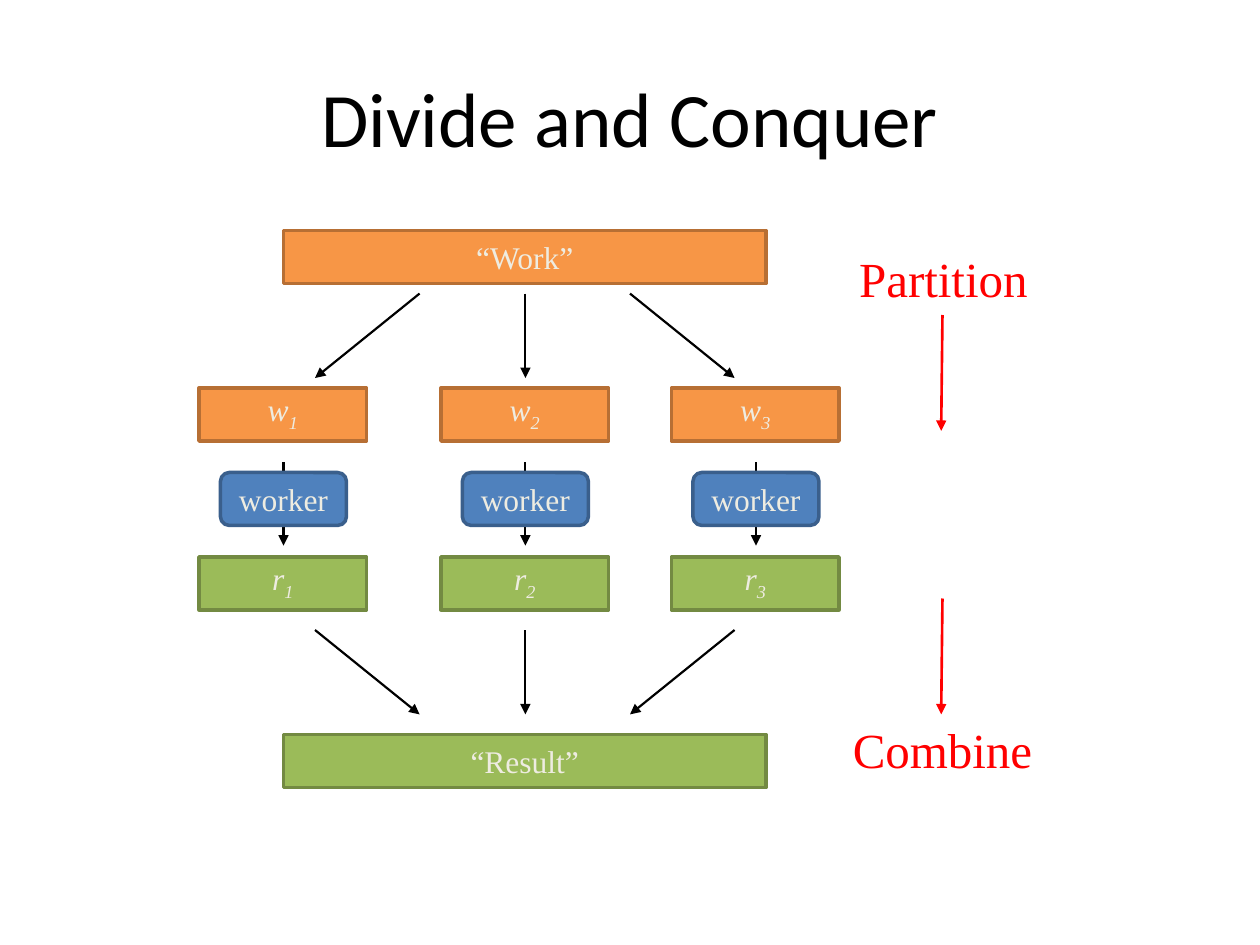
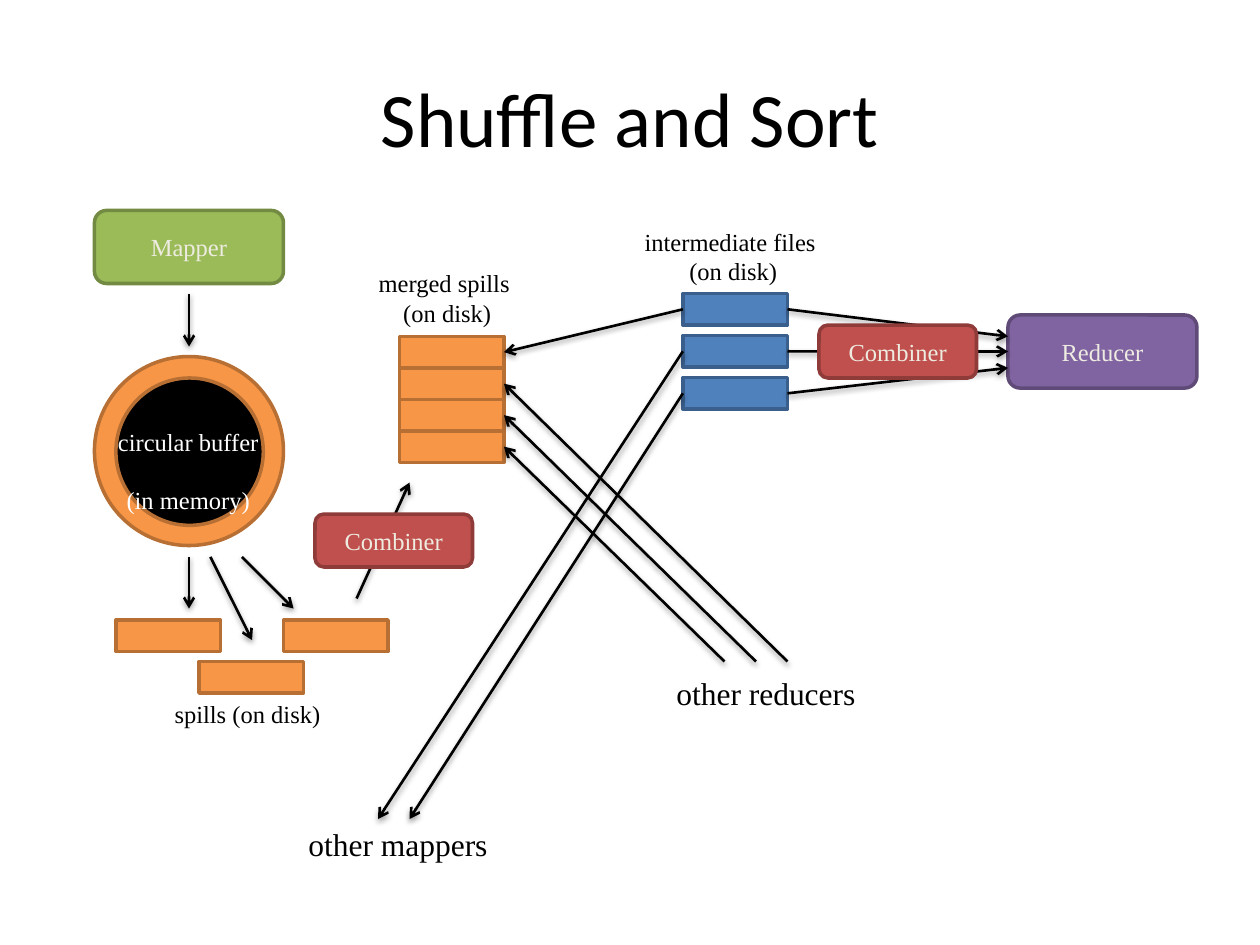
from lxml import etree
from pptx import Presentation
from pptx.dml.color import RGBColor
from pptx.enum.shapes import MSO_CONNECTOR, MSO_SHAPE
from pptx.enum.text import MSO_ANCHOR, MSO_AUTO_SIZE, PP_ALIGN
from pptx.oxml import parse_xml
from pptx.oxml.ns import nsdecls, qn
from pptx.util import Inches, Pt

COLORS = {"black": "000000", "white": "FFFFFF", "red": "FF0000", "cream": "EEECE1"}
# Each box style is a fill and a matching darker outline.
BOX_STYLES = {
    "orange": ("F79646", "B76F34"),
    "green": ("9BBB59", "738A42"),
    "blue": ("4F81BD", "3A5F8C"),
    "purple": ("8064A2", "5F4A78"),
    "crimson": ("C0504D", "8E3B39"),
    "core": ("000000", "B76F34"),
}
BODY_FONT, TITLE_FONT = "Times New Roman", "Calibri"
RECT, ROUND, OVAL = MSO_SHAPE.RECTANGLE, MSO_SHAPE.ROUNDED_RECTANGLE, MSO_SHAPE.OVAL
BOX_H = 0.42

# Divide and Conquer: the workers, the bars and the steps beside them
WORKERS = [("1", 2.25), ("2", 4.17), ("3", 6)]  # subscript, column centre
BARS = [("“Work”", 1.83, "orange"), ("“Result”", 5.83, "green")]
PARTS = [("w", 3.08, "orange"), ("r", 4.42, "green")]
FAN = [(3.33, 2.5), (4.17, 4.17), (5, 5.83)]  # x near the bar, x near the part
STEPS = [("Partition", (6.72, 1.92, 1.58, 0.57), 2.5),
         ("Combine", (6.67, 5.66, 1.67, 0.57), 4.75)]

# Shuffle and Sort: stages, file stacks, arrows and captions
STAGES = [("Mapper", 0.75, 1.67, "green"), ("Reducer", 8, 2.5, "purple")]
COMBINERS = [(2.5, 4.08), (6.5, 2.58)]
FILE_W, FILE_H = 0.83, 0.25
SPILLS = [(1.58, 5.25), (0.92, 4.92), (2.25, 4.92)]
MERGED = [(3.17, 2.67 + i * FILE_H) for i in range(4)]
INTERMEDIATE = [(5.42, 2.33 + i / 3) for i in range(3)]
FILE_MIDS = [y + FILE_H / 2 for _, y in INTERMEDIATE]
MERGED_MIDS = [y + FILE_H / 2 for _, y in MERGED]
MAP_ARROWS = [
    ((1.5, 2.33), (1.5, 2.75)), ((1.5, 4.42), (1.5, 4.83)),
    ((1.67, 4.42), (2, 5.08)), ((1.92, 4.42), (2.33, 4.83)),
    ((2.83, 4.75), (3.25, 3.83)),
]
FETCH_ARROWS = [((5.42, y), end) for y, end in
                zip(FILE_MIDS, [(4, MERGED_MIDS[0]), (3, 6.5), (3.25, 6.5)])]
OTHER_ARROWS = [((x, 5.25), (4, y)) for x, y in zip((6.25, 6, 5.75), MERGED_MIDS[1:])]
REDUCE_ARROWS = [((6.25, y), (8, end)) for y, end in zip(FILE_MIDS, (2.67, 2.79, 2.92))]
CAPTIONS = [
    (["spills (on disk)"], (1.28, 5.5, 1.37, 0.34)),
    (["merged spills ", "(on disk)"], (2.9, 2.08, 1.3, 0.57)),
    (["intermediate files ", "(on disk)"], (5.01, 1.75, 1.62, 0.57)),
]
NEIGHBOURS = [("other mappers", 2.35, 6.5), ("other reducers", 5.27, 5.3)]


def rgb(value):
    """Turn a hex string into a colour."""
    return RGBColor.from_string(value)


def add_run(paragraph, text, size, color, font=BODY_FONT, italic=None, subscript=False):
    """Add one formatted run."""
    run = paragraph.add_run()
    run.text = text
    run.font.name, run.font.size, run.font.italic = font, Pt(size), italic
    run.font.color.rgb = rgb(COLORS[color])
    if subscript:
        run.font._element.set("baseline", "-25000")


def add_box(shapes, kind, at, style, text="", size=18):
    """Add a filled and outlined shape, with a centred label if given."""
    box = shapes.add_shape(kind, *map(Inches, at))
    fill, line = BOX_STYLES[style]
    box.shadow.inherit = False
    box.fill.solid()
    box.fill.fore_color.rgb = rgb(fill)
    box.line.color.rgb = rgb(line)
    box.line.width = Pt(2)
    frame = box.text_frame
    frame.vertical_anchor = MSO_ANCHOR.MIDDLE
    frame.paragraphs[0].alignment = PP_ALIGN.CENTER
    if text:
        add_run(frame.paragraphs[0], text, size, "cream")
    return box


def add_part(shapes, letter, number, center, top, style):
    """Add a box holding an italic letter with a subscript number."""
    box = add_box(shapes, RECT, (center - 0.67, top, 1.33, BOX_H), style)
    box.text_frame.margin_top = 0
    paragraph = box.text_frame.paragraphs[0]
    add_run(paragraph, letter, 18, "cream", italic=True)
    add_run(paragraph, number, 18, "cream", italic=True, subscript=True)


def add_label(shapes, lines, at, size, color="black", align=PP_ALIGN.LEFT,
              wrap=False, gap=0):
    """Add a text box with one paragraph a line."""
    frame = shapes.add_textbox(*map(Inches, at)).text_frame
    frame.word_wrap = wrap
    frame.auto_size = MSO_AUTO_SIZE.SHAPE_TO_FIT_TEXT
    for i, line in enumerate(lines):
        paragraph = frame.add_paragraph() if i else frame.paragraphs[0]
        paragraph.alignment = align
        if i and gap:
            paragraph.space_before = Pt(gap)
        add_run(paragraph, line, size, color)


def add_arrow(shapes, start, end, color="black", width=1.5, head="triangle", shadow=False):
    """Add a straight arrow, with a soft shadow below it if wanted."""
    arrow = shapes.add_connector(MSO_CONNECTOR.STRAIGHT, *map(Inches, (*start, *end)))
    arrow.line.color.rgb = rgb(COLORS[color])
    arrow.line.width = Pt(width)
    line = arrow.line._get_or_add_ln()
    etree.SubElement(line, qn("a:tailEnd"), type=head)
    inner = ('<a:outerShdw blurRad="40000" dist="20000" dir="5400000" rotWithShape="0">'
             f'<a:srgbClr val="{COLORS["black"]}"><a:alpha val="38000"/></a:srgbClr>'
             '</a:outerShdw>') if shadow else ""
    line.addnext(parse_xml(f'<a:effectLst {nsdecls("a")}>{inner}</a:effectLst>'))


def add_slide(prs, title):
    """Add a title-only slide and return its shapes."""
    slide = prs.slides.add_slide(prs.slide_layouts[5])
    slide.background.fill.solid()
    slide.background.fill.fore_color.rgb = rgb(COLORS["white"])
    holder = slide.shapes.title
    holder.left, holder.top, holder.width, holder.height = map(Inches, (0.5, 0.3, 9, 1.25))
    frame = holder.text_frame
    frame.vertical_anchor = MSO_ANCHOR.MIDDLE
    frame.paragraphs[0].alignment = PP_ALIGN.CENTER
    add_run(frame.paragraphs[0], title, 44, "black", TITLE_FONT)
    return slide.shapes


def build_divide(prs):
    """Build the slide on splitting work among workers."""
    shapes = add_slide(prs, "Divide and Conquer")
    for text, top, style in BARS:
        add_box(shapes, RECT, (2.25, top, 3.83, BOX_H), style, text)
    for near, far in FAN:
        add_arrow(shapes, (near, 2.33), (far, 3), width=1.25)
        add_arrow(shapes, (far, 5), (near, 5.67), width=1.25)
    for number, center in WORKERS:
        for letter, top, style in PARTS:
            add_part(shapes, letter, number, center, top, style)
        add_arrow(shapes, (center, 3.67), (center, 4.33), width=1.25)
        add_box(shapes, ROUND, (center - 0.5, 3.75, 1, BOX_H), "blue", "worker")
    for text, at, top in STEPS:
        add_label(shapes, [text], at, 28, "red")
        add_arrow(shapes, (7.48, top), (7.47, top + 0.92), "red")


def build_shuffle(prs):
    """Build the slide on the path from mapper to reducer."""
    shapes = add_slide(prs, "Shuffle and Sort")
    for text, left, top, style in STAGES:
        add_box(shapes, ROUND, (left, top, 1.5, 0.58), style, text, 14)
    ring = shapes.add_group_shape().shapes
    add_box(ring, OVAL, (0.75, 2.83, 1.5, 1.5), "orange")
    add_box(ring, OVAL, (0.92, 3, 1.17, 1.17), "core")
    for files, style in ((SPILLS + MERGED, "orange"), (INTERMEDIATE, "blue")):
        for left, top in files:
            add_box(shapes, RECT, (left, top, FILE_W, FILE_H), style)
    for start, end in MAP_ARROWS + FETCH_ARROWS + OTHER_ARROWS + REDUCE_ARROWS:
        add_arrow(shapes, start, end, head="arrow", shadow=True)
    for text, left, top in NEIGHBOURS:
        add_label(shapes, [text], (left, top, 1.64, 0.4), 18)
    add_label(shapes, ["circular buffer", "(in memory)"], (0.83, 3.34, 1.33, 0.57), 14,
              "white", PP_ALIGN.CENTER, wrap=True, gap=16.5)
    for lines, at in CAPTIONS:
        add_label(shapes, lines, at, 14, align=PP_ALIGN.CENTER)
    for left, top in COMBINERS:
        add_box(shapes, ROUND, (left, top, 1.25, BOX_H), "crimson", "Combiner", 14)


prs = Presentation()
prs.slide_width, prs.slide_height = Inches(10), Inches(7.5)
build_divide(prs)
build_shuffle(prs)
prs.save("out.pptx")
